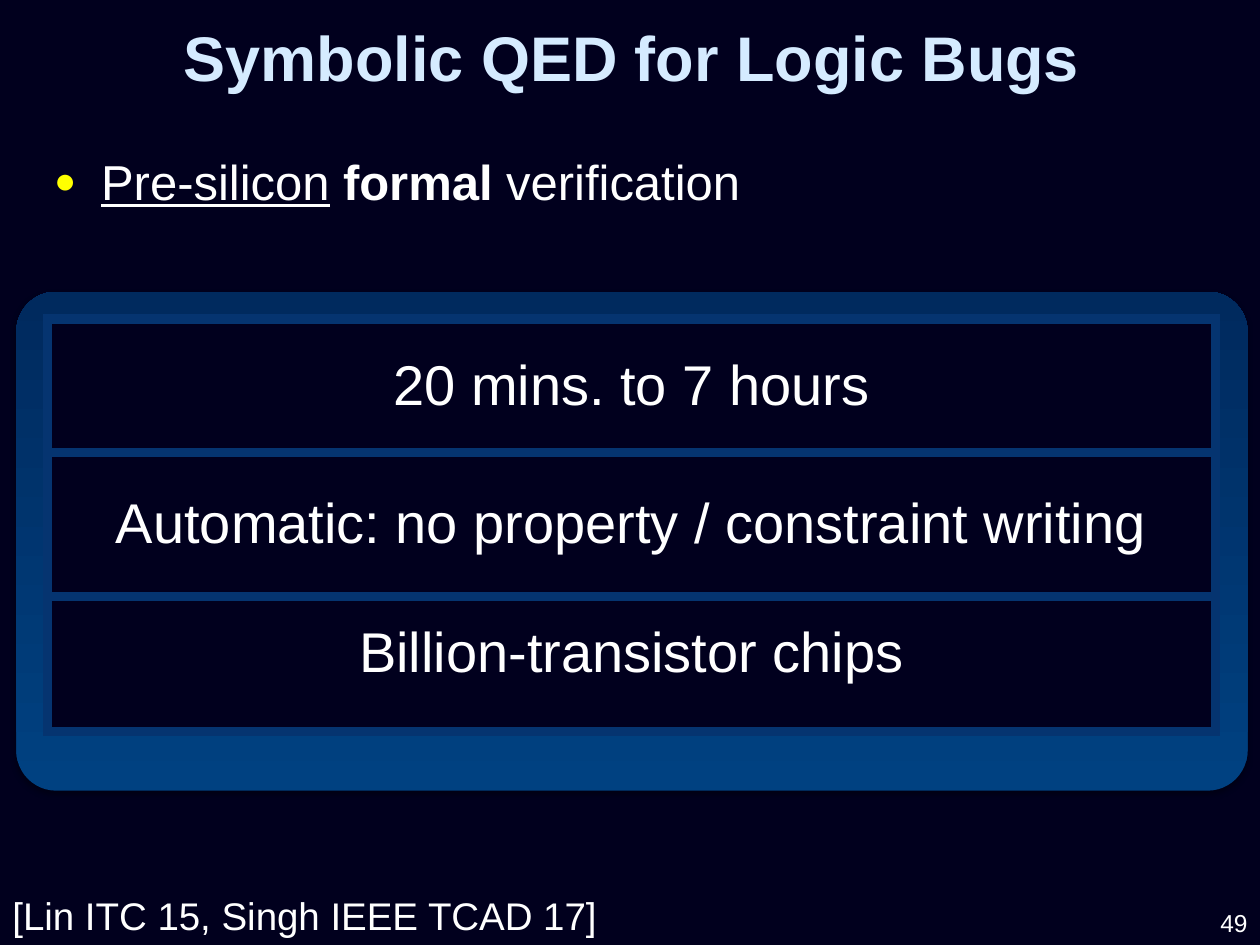
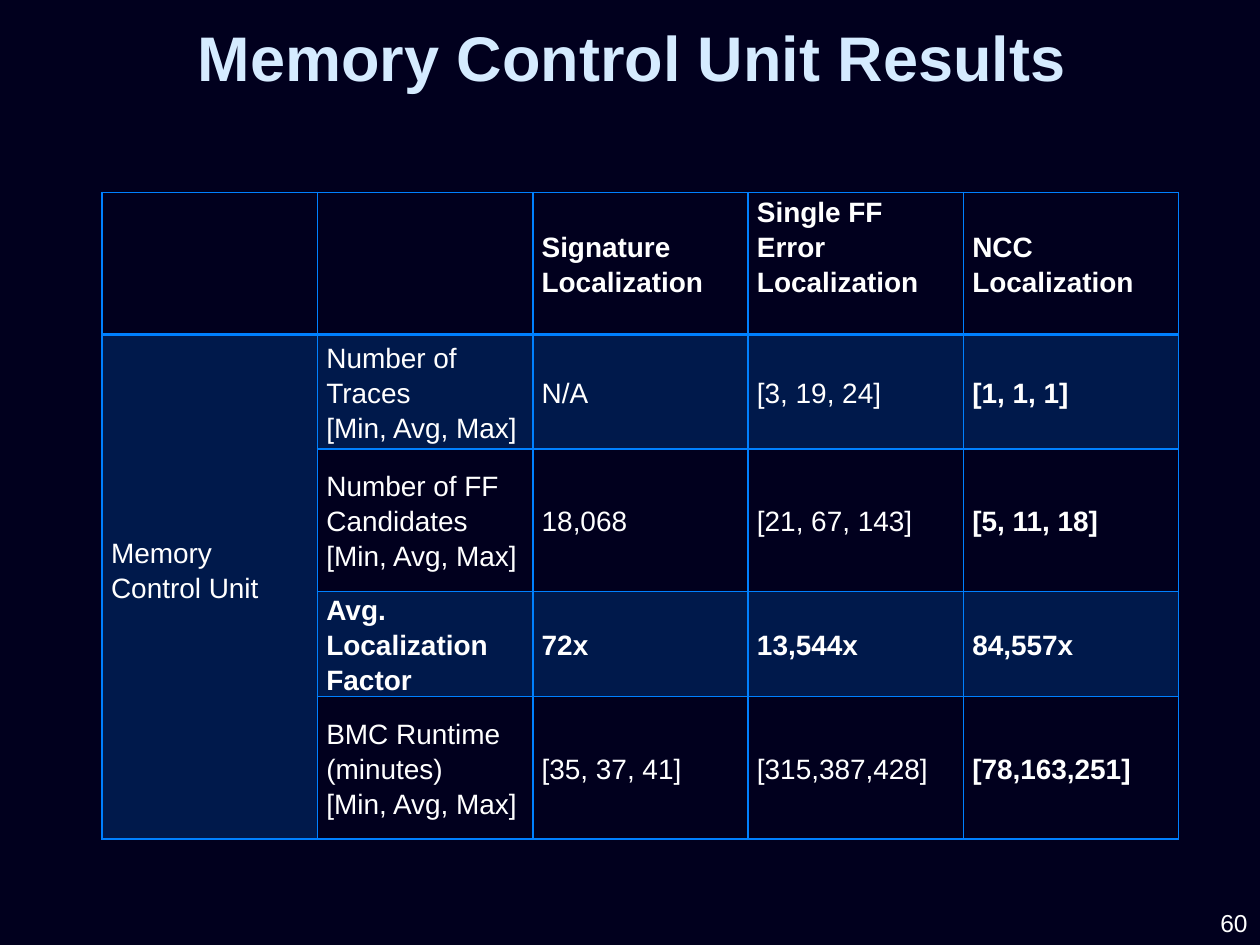
from lxml import etree
from pptx import Presentation
from pptx.dml.color import RGBColor
from pptx.enum import shapes, text
from pptx.oxml import ns
from pptx.util import Cm, Pt

FONT = "Arial"
NIGHT = RGBColor(0x01, 0x00, 0x1E)
WHITE = RGBColor(0xFF, 0xFF, 0xFF)
ICE = RGBColor(0xD5, 0xEB, 0xFF)
YELLOW = RGBColor(0xFF, 0xFF, 0x00)
PANEL_LIGHT = RGBColor(0x00, 0x41, 0x81)
PANEL_DARK = RGBColor(0x00, 0x2A, 0x5E)
FRAME = RGBColor(0x05, 0x34, 0x70)
AZURE = RGBColor(0x00, 0x80, 0xFF)

LEFT, CENTER, RIGHT = text.PP_ALIGN.LEFT, text.PP_ALIGN.CENTER, text.PP_ALIGN.RIGHT
MIDDLE = text.MSO_ANCHOR.MIDDLE
RANGE = "[Min, Avg, Max]"


def add_xml(parent, tag, **attributes):
    return etree.SubElement(parent, ns.qn(tag), attributes)


def add_span(para, words, size, color=WHITE, bold=False, underline=False):
    span = para.add_run()
    span.text = words
    font = span.font
    font.name, font.size, font.bold, font.underline = FONT, Pt(size), bold, underline
    font.color.rgb = color


def add_box(page, left, top, width, height, align=LEFT, anchor=text.MSO_ANCHOR.TOP):
    """Add a wrapping text box and return its first paragraph."""
    frame = page.shapes.add_textbox(Cm(left), Cm(top), Cm(width), Cm(height)).text_frame
    frame.word_wrap = True
    frame.vertical_anchor = anchor
    para = frame.paragraphs[0]
    para.alignment = align
    return para


def add_page(deck, title, number):
    """Add a page with the shared background, title and page number."""
    page = deck.slides.add_slide(deck.slide_layouts[6])
    page.background.fill.solid()
    page.background.fill.fore_color.rgb = NIGHT
    add_span(add_box(page, 0.28, 0.23, 24.92, 1.8, CENTER, MIDDLE), title, 36, ICE, bold=True)
    add_span(add_box(page, 20.78, 18.16, 4.62, 0.89, RIGHT, MIDDLE), number, 14)
    return page


def set_bullet(para):
    properties = para._p.get_or_add_pPr()
    properties.set("marL", str(Cm(0.95)))
    properties.set("indent", str(Cm(-0.95)))
    add_xml(add_xml(properties, "a:buClr"), "a:srgbClr", val=str(YELLOW))
    add_xml(properties, "a:buSzPct", val="75000")
    add_xml(properties, "a:buFont", typeface=FONT)
    add_xml(properties, "a:buChar", char="●")


def add_panel(page, left, top, width, height):
    """Add the rounded gradient panel with its soft shadow."""
    panel = page.shapes.add_shape(shapes.MSO_SHAPE.ROUNDED_RECTANGLE,
                                  Cm(left), Cm(top), Cm(width), Cm(height))
    panel.adjustments[0] = 0.08
    panel.line.fill.background()
    panel.fill.gradient()
    panel.fill.gradient_angle = 90
    for stop, color in zip(panel.fill.gradient_stops, (PANEL_LIGHT, PANEL_DARK)):
        stop.color.rgb = color
    panel.shadow.inherit = False
    effects = panel._element.spPr.find(ns.qn("a:effectLst"))
    shadow = add_xml(effects, "a:outerShdw", blurRad=str(Pt(3.1)), dist=str(Pt(1.8)),
                     dir="5400000", rotWithShape="0")
    add_xml(add_xml(shadow, "a:srgbClr", val="000000"), "a:alpha", val="35000")


def add_grid(page, left, top, widths, heights):
    """Add an unstyled table with the given column widths and row heights."""
    grid = page.shapes.add_table(len(heights), len(widths), Cm(left), Cm(top),
                                 Cm(sum(widths)), Cm(sum(heights))).table
    grid.first_row = grid.horz_banding = False
    for column, width in zip(grid.columns, widths):
        column.width = Cm(width)
    for row, height in zip(grid.rows, heights):
        row.height = Cm(height)
    return grid


def set_borders(cell, color, width, **special):
    properties = cell._tc.get_or_add_tcPr()
    for side in "LRTB":
        line = add_xml(properties, f"a:ln{side}", w=str(Pt(special.get(side, width))))
        add_xml(add_xml(line, "a:solidFill"), "a:srgbClr", val=str(color))


def set_fill(cell, color, opacity=100):
    cell.fill.solid()
    cell.fill.fore_color.rgb = color
    if opacity < 100:
        shade = cell._tc.tcPr.find(ns.qn("a:solidFill"))[0]
        add_xml(shade, "a:alpha", val=str(opacity * 1000))


def set_margins(cell, side, top, bottom):
    cell.margin_left = cell.margin_right = Cm(side)
    cell.margin_top, cell.margin_bottom = Cm(top), Cm(bottom)
    cell.vertical_anchor = MIDDLE


def add_claims(page, claims):
    """Add the one-column table; each claim is words, row height, bottom margin."""
    grid = add_grid(page, 0.96, 6.43, [23.55], [height for _, height, _ in claims])
    for row, (words, _, bottom) in enumerate(claims):
        cell = grid.cell(row, 0)
        set_margins(cell, 0.25, 0.13, bottom)
        set_borders(cell, FRAME, 6)
        set_fill(cell, NIGHT)
        para = cell.text_frame.paragraphs[0]
        para.alignment = CENTER
        add_span(para, words, 32)


def add_results(page, rows, heights):
    """Add the results table; the first column is one merged cell."""
    grid = add_grid(page, 2.06, 3.88, [4.34] * 5, heights)
    grid.cell(1, 0).merge(grid.cell(len(rows) - 1, 0))
    for r, row in enumerate(rows):
        for c, words in enumerate(row):
            cell = grid.cell(r, c)
            # These two cells sit one text line above the middle
            raised = (r, c) in ((0, 3), (1, 0))
            set_margins(cell, 0.18, 0, 0.7 if raised else 0)
            rule = {0: {"B": 2}, 1: {"T": 2}}.get(r, {})
            set_borders(cell, AZURE, 1, **rule)
            if r % 2:
                set_fill(cell, AZURE, 20)
            else:
                cell.fill.background()
            if not words:
                continue
            bold = r in (0, 3) and c > 0 or c == 4
            frame = cell.text_frame
            for i, line in enumerate(words.split("\n")):
                para = frame.add_paragraph() if i else frame.paragraphs[0]
                para.line_spacing = Pt(20)
                add_span(para, line, 16, bold=bold)


def main():
    deck = Presentation()
    deck.slide_width, deck.slide_height = Cm(25.4), Cm(19.05)

    # Symbolic QED claims
    page = add_page(deck, "Symbolic QED for Logic Bugs", "49")
    para = add_box(page, 0.84, 2.57, 23.83, 3)
    set_bullet(para)
    para.line_spacing = 1.3
    para.space_after = Pt(8)
    add_span(para, "Pre-silicon", 28, underline=True)
    add_span(para, " ", 28)
    add_span(para, "formal", 28, bold=True)
    add_span(para, " verification", 28)
    add_panel(page, 0.33, 5.88, 24.82, 10.06)
    add_claims(page, [
        ("20 mins. to 7 hours", 2.69, 0.13),
        ("Automatic: no property / constraint writing", 2.9, 0.13),
        ("Billion-transistor chips", 2.72, 0.55),
    ])
    add_span(add_box(page, 0, 17.86, 13, 1.19), "[Lin ITC 15, Singh IEEE TCAD 17]", 22)

    # Memory control unit results
    page = add_page(deck, "Memory Control Unit Results", "60")
    add_results(page, [
        ("", "", "Signature\nLocalization", "Single FF Error\nLocalization",
         "NCC\nLocalization"),
        ("Memory Control Unit", f"Number of Traces\n{RANGE}", "N/A", "[3, 19, 24]",
         "[1, 1, 1]"),
        ("", f"Number of FF Candidates\n{RANGE}", "18,068", "[21, 67, 143]", "[5, 11, 18]"),
        ("", "Avg. Localization Factor", "72x", "13,544x", "84,557x"),
        ("", f"BMC Runtime (minutes)\n{RANGE}", "[35, 37, 41]", "[315,387,428]",
         "[78,163,251]"),
    ], [2.87, 2.3, 2.87, 2.12, 2.87])

    deck.save("out.pptx")


if __name__ == "__main__":
    main()
